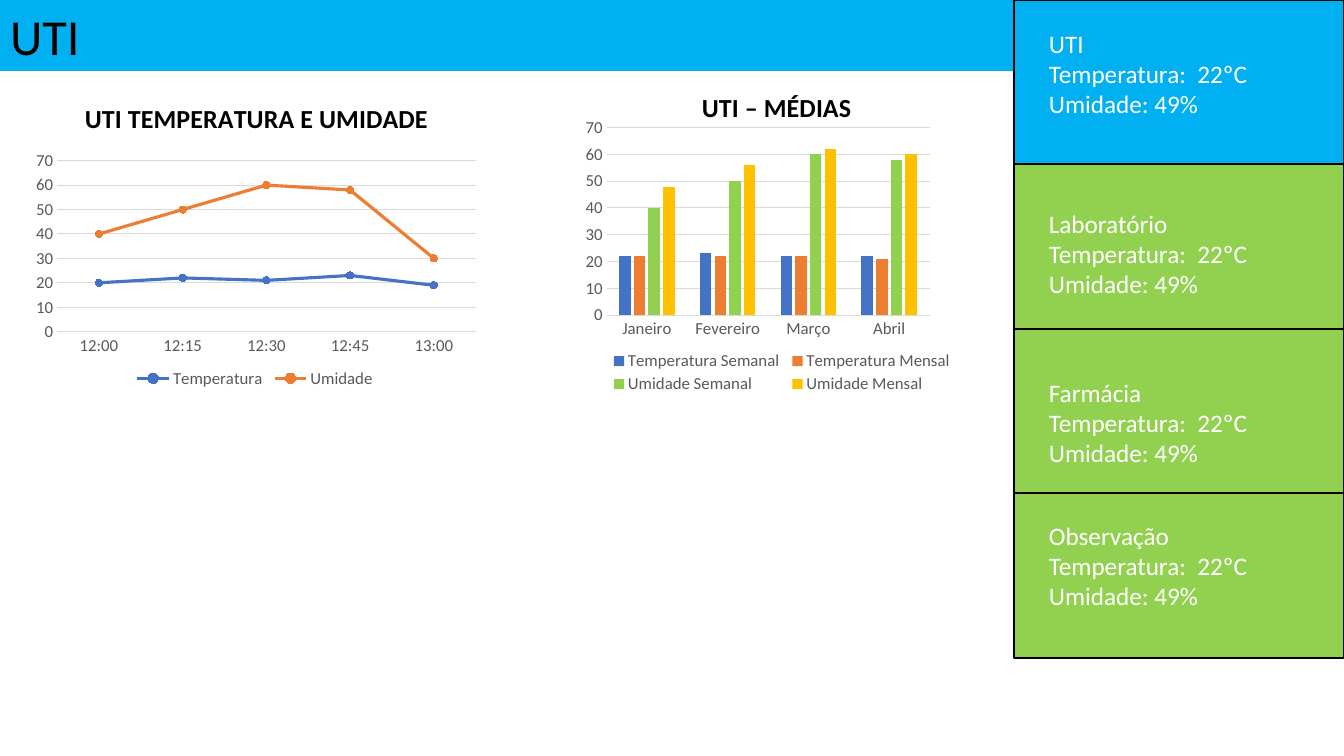
from dataclasses import dataclass

from lxml.etree import SubElement
from pptx import Presentation
from pptx.chart.chart import Chart
from pptx.chart.data import CategoryChartData
from pptx.dml.color import RGBColor
from pptx.enum.chart import XL_CHART_TYPE, XL_LEGEND_POSITION, XL_MARKER_STYLE, XL_TICK_MARK
from pptx.enum.shapes import MSO_SHAPE
from pptx.enum.text import MSO_ANCHOR, MSO_AUTO_SIZE, PP_ALIGN
from pptx.oxml.ns import qn
from pptx.slide import Slide
from pptx.util import Emu, Pt

FONT = "Calibri"
BLUE, GREEN, BLACK, WHITE = "00B0F0", "92D050", "000000", "FFFFFF"
LABEL_GRAY, GRID_GRAY = "595959", "D9D9D9"
PANEL_LEFT, PANEL_WIDTH, PANELS_HEIGHT = 1014, 330, 658
READINGS = "Temperatura:  22ºC\nUmidade: 49%"


@dataclass
class Room:
    name: str
    color: str
    text_top: int


@dataclass
class Measure:
    name: str
    values: list[int]
    color: str


@dataclass
class ChartSpec:
    """box is in px; the other places are fractions of the chart."""
    kind: XL_CHART_TYPE
    box: tuple[int, int, int, int]
    title: str
    title_at: tuple[float, float]
    plot_area: tuple[float, float, float, float]
    legend_area: tuple[float, float, float, float]
    categories: list[str]
    measures: list[Measure]


ROOMS = [
    Room("UTI", BLUE, 23),
    Room("Laboratório", GREEN, 203),
    Room("Farmácia", GREEN, 372),
    Room("Observação", GREEN, 515),
]

HISTORY = ChartSpec(
    XL_CHART_TYPE.LINE_MARKERS, (25, 83, 460, 311), "UTI TEMPERATURA E UMIDADE",
    (0.12, 0.04), (0.07, 0.25, 0.91, 0.55), (0.23, 0.91, 0.54, 0.08),
    ["12:00", "12:15", "12:30", "12:45", "13:00"],
    [
        Measure("Temperatura", [20, 22, 21, 23, 19], "4472C4"),
        Measure("Umidade", [40, 50, 60, 58, 30], "ED7D31"),
    ],
)

AVERAGES = ChartSpec(
    XL_CHART_TYPE.COLUMN_CLUSTERED, (579, 75, 394, 329), "UTI – MÉDIAS",
    (0.3, 0.03), (0.07, 0.16, 0.82, 0.57), (0.07, 0.83, 0.89, 0.15),
    ["Janeiro", "Fevereiro", "Março", "Abril"],
    [
        Measure("Temperatura Semanal", [22, 23, 22, 22], "4472C4"),
        Measure("Temperatura Mensal", [22, 22, 22, 21], "ED7D31"),
        Measure("Umidade Semanal", [40, 50, 60, 58], GREEN),
        Measure("Umidade Mensal", [48, 56, 62, 60], "FFC000"),
    ],
)


def px(length: int) -> Emu:
    return Emu(round(length * 914400 / 100.8))


def rgb(color: str) -> RGBColor:
    return RGBColor.from_string(color)


def paint(target, color: str) -> None:
    target.fill.solid()
    target.fill.fore_color.rgb = rgb(color)


def style_font(font, size: float, color: str, bold: bool = False) -> None:
    font.name, font.size, font.bold = FONT, Pt(size), bold
    font.color.rgb = rgb(color)


def place_manually(parent, index: int, area: tuple, inner: bool = False) -> None:
    """Give a chart part a manual layout as its child number index."""
    previous = parent.find(qn("c:layout"))
    if previous is not None:
        parent.remove(previous)
    layout = SubElement(parent, qn("c:layout"))
    manual = SubElement(layout, qn("c:manualLayout"))
    settings = {"layoutTarget": "inner"} if inner else {}
    settings |= {"xMode": "edge", "yMode": "edge"} | dict(zip("xywh", area))
    for tag, value in settings.items():
        SubElement(manual, qn(f"c:{tag}")).set("val", str(value))
    parent.insert(index, layout)


def add_header(slide: Slide) -> None:
    header = slide.shapes.title
    header.left, header.top, header.width, header.height = map(px, (0, 0, PANEL_LEFT, 71))
    paint(header, BLUE)
    frame = header.text_frame
    frame.text = "UTI"
    frame.auto_size = MSO_AUTO_SIZE.NONE
    frame.vertical_anchor = MSO_ANCHOR.MIDDLE
    frame.paragraphs[0].alignment = PP_ALIGN.LEFT
    style_font(frame.paragraphs[0].runs[0].font, 36, BLACK)


def add_room(slide: Slide, room: Room, row: int) -> None:
    top, bottom = (edge * PANELS_HEIGHT // len(ROOMS) for edge in (row, row + 1))
    panel = slide.shapes.add_shape(
        MSO_SHAPE.RECTANGLE, px(PANEL_LEFT), px(top), px(PANEL_WIDTH), px(bottom - top))
    panel.shadow.inherit = False
    paint(panel, room.color)
    panel.line.color.rgb = rgb(BLACK)
    panel.line.width = Pt(1)

    reading = slide.shapes.add_textbox(px(1039), px(room.text_top), px(264), px(102))
    frame = reading.text_frame
    frame.word_wrap = True
    frame.auto_size = MSO_AUTO_SIZE.SHAPE_TO_FIT_TEXT
    frame.text = f"{room.name}\n{READINGS}"
    for paragraph in frame.paragraphs:
        style_font(paragraph.runs[0].font, 18, WHITE)


def style_axes(chart: Chart) -> None:
    for axis in (chart.category_axis, chart.value_axis):
        axis.major_tick_mark = axis.minor_tick_mark = XL_TICK_MARK.NONE
        style_font(axis.tick_labels.font, 12, LABEL_GRAY)
    chart.category_axis.format.line.color.rgb = rgb(GRID_GRAY)
    chart.category_axis.format.line.width = Pt(0.75)
    values = chart.value_axis
    values.minimum_scale, values.maximum_scale, values.major_unit = 0, 70, 10
    values.format.line.fill.background()
    values.has_major_gridlines = True
    values.major_gridlines.format.line.color.rgb = rgb(GRID_GRAY)
    values.major_gridlines.format.line.width = Pt(0.75)


def add_chart(slide: Slide, spec: ChartSpec) -> Chart:
    data = CategoryChartData()
    data.categories = spec.categories
    for measure in spec.measures:
        data.add_series(measure.name, measure.values)
    chart = slide.shapes.add_chart(spec.kind, *map(px, spec.box), data).chart
    style_font(chart.font, 10, BLACK)

    chart.has_title = True
    title = chart.chart_title.text_frame
    title.text = spec.title
    style_font(title.paragraphs[0].runs[0].font, 18.6, BLACK, bold=True)
    place_manually(chart.chart_title._element, 1, spec.title_at)
    place_manually(chart._chartSpace.chart.plotArea, 0, spec.plot_area, inner=True)

    chart.has_legend = True
    chart.legend.position = XL_LEGEND_POSITION.BOTTOM
    chart.legend.include_in_layout = False
    style_font(chart.legend.font, 12, LABEL_GRAY)
    place_manually(chart.legend._element, 1, spec.legend_area)
    style_axes(chart)
    chart.plots[0].vary_by_categories = False
    return chart


def add_history(slide: Slide) -> None:
    chart = add_chart(slide, HISTORY)
    for series, measure in zip(chart.plots[0].series, HISTORY.measures):
        series.smooth = False
        series.format.line.color.rgb = rgb(measure.color)
        series.format.line.width = Pt(2.25)
        series.marker.style = XL_MARKER_STYLE.CIRCLE
        series.marker.size = 5
        paint(series.marker.format, measure.color)
        series.marker.format.line.color.rgb = rgb(measure.color)


def add_averages(slide: Slide) -> None:
    plot = add_chart(slide, AVERAGES).plots[0]
    plot.gap_width, plot.overlap = 219, -27
    for series, measure in zip(plot.series, AVERAGES.measures):
        paint(series.format, measure.color)


def main() -> None:
    deck = Presentation()
    deck.slide_width, deck.slide_height = px(1344), px(756)
    slide = deck.slides.add_slide(deck.slide_layouts.get_by_name("Title Only"))
    add_header(slide)
    add_history(slide)
    for row, room in enumerate(ROOMS):
        add_room(slide, room, row)
    add_averages(slide)
    deck.save("out.pptx")


if __name__ == "__main__":
    main()
